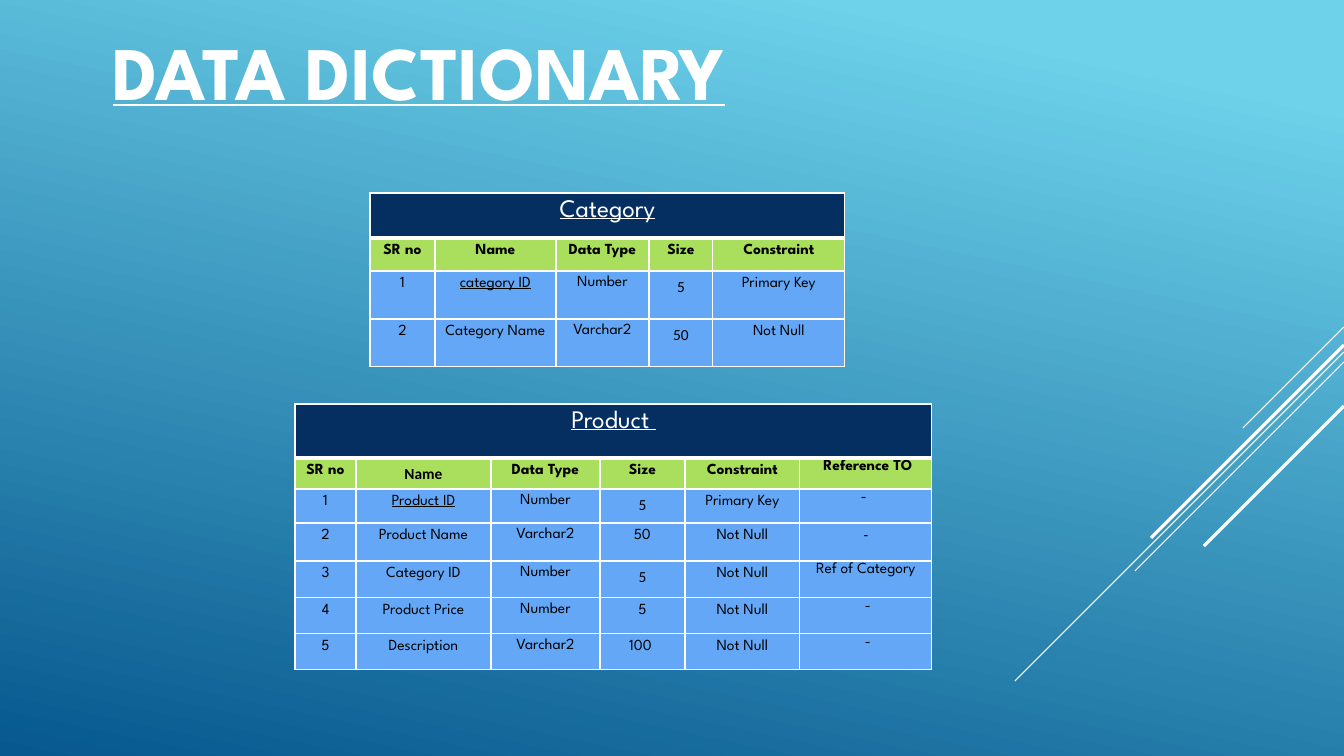
"""Build the data dictionary slide with its Category and Product tables."""
from lxml.etree import SubElement
from pptx import Presentation
from pptx.dml.color import RGBColor
from pptx.enum.shapes import MSO_CONNECTOR
from pptx.enum.text import MSO_ANCHOR, PP_ALIGN
from pptx.oxml.ns import qn
from pptx.util import Emu, Pt

THEME = {
    "sky": "6ED2EB", "deep": "06588E", "white": "FFFFFF", "black": "000000",
    "navy": "052F61", "lime": "AADF5E", "blue": "64A7F7",
    "font": "League Spartan", "plain_font": "Calibri",
    "title": 54, "heading": 18, "body": 11,
}


def px(length):
    return Emu(round(length * 914400 / 100.8))


def write(frame, text, size, color, font=THEME["font"], bold=False,
          underline=False, spacing=None, after=None):
    para = frame.paragraphs[0]
    para.alignment = PP_ALIGN.CENTER
    para.line_spacing = spacing
    para.space_after = after
    span = para.add_run()
    span.text = text
    span.font.name = font
    span.font.size = Pt(size)
    span.font.bold = bold
    span.font.underline = underline
    span.font.color.rgb = RGBColor.from_string(color)


deck = Presentation()
deck.slide_width, deck.slide_height = px(1344), px(756)
page = deck.slides.add_slide(deck.slide_layouts[6])

backdrop = page.background.fill
backdrop.gradient()
backdrop.gradient_angle = 258
for stop, position, color in zip(backdrop.gradient_stops, (0.1, 1), ("sky", "deep")):
    stop.position = position
    stop.color.rgb = RGBColor.from_string(THEME[color])

RIGHT_EDGE = 1344
diagonals = [(327, 101, 0.75), (352, 329, 0.75), (362, 209, 0.75),
             (345, 193, 2.25), (406, 140, 2.25)]
for top, reach, weight in diagonals:
    diagonal = page.shapes.add_connector(
        MSO_CONNECTOR.STRAIGHT, px(RIGHT_EDGE), px(top),
        px(RIGHT_EDGE - reach), px(top + reach))
    diagonal.line.color.rgb = RGBColor.from_string(THEME["white"])
    diagonal.line.width = Pt(weight)
    SubElement(diagonal._element.spPr, qn("a:effectLst"))

title_box = page.shapes.add_textbox(px(-55), px(22), px(948), px(96))
title_box.text_frame.word_wrap = True
title_box.text_frame.vertical_anchor = MSO_ANCHOR.MIDDLE
write(title_box.text_frame, "DATA DICTIONARY", THEME["title"], THEME["white"],
      bold=True, underline=True)

HEADERS = ["SR no", "Name", "Data Type", "Size", "Constraint"]
TYPE_COLUMN, REFERENCE_COLUMN = 2, 5
tables = [
    {
        "left": 370, "top": 193, "heading": "Category",
        "widths": [65, 121, 93, 64, 132], "heights": [45, 33, 48, 48],
        "rows": [
            HEADERS,
            ["1", "category ID", "Number", "5", "Primary Key"],
            ["2", "Category Name", "Varchar2", "50", "Not Null"],
        ],
        "plain": {(2, 3), (3, 3)},
    },
    {
        "left": 295, "top": 404, "heading": "Product ",
        "widths": [61, 135, 109, 85, 115, 132],
        "heights": [54, 31, 34, 38, 37, 36, 36],
        "rows": [
            HEADERS + [" Reference TO"],
            ["1", "Product ID", "Number", "5", "Primary Key", "- "],
            ["2", "Product Name", "Varchar2", "50", "Not Null", "-"],
            ["3", "Category ID", "Number", "5", "Not Null", "Ref of Category"],
            ["4", "Product Price", "Number", "5", "Not Null", " -"],
            ["5", "Description", "Varchar2", "100 ", "Not Null", " -"],
        ],
        "plain": {(1, 1), (2, 3), (3, 5), (4, 3)},
    },
]

for entry in tables:
    widths, heights = entry["widths"], entry["heights"]
    table = page.shapes.add_table(
        len(heights), len(widths), px(entry["left"]), px(entry["top"]),
        px(sum(widths)), px(sum(heights))).table
    table.first_row = table.horz_banding = False
    for column, width in zip(table.columns, widths):
        column.width = px(width)
    for row, height in zip(table.rows, heights):
        row.height = px(height)
    table.cell(0, 0).merge(table.cell(0, len(widths) - 1))

    for r in range(len(heights)):
        for c in range(len(widths)):
            cell = table.cell(r, c)
            properties = cell._tc.get_or_add_tcPr()
            for side in "LRTB":
                weight = 3 if r == 0 and side == "B" else 1
                border = SubElement(properties, qn(f"a:ln{side}"), w=str(Pt(weight)))
                paint = SubElement(border, qn("a:solidFill"))
                SubElement(paint, qn("a:srgbClr"), val=THEME["white"])
            cell.fill.solid()
            fill = {0: "navy", 1: "lime"}.get(r, "blue")
            cell.fill.fore_color.rgb = RGBColor.from_string(THEME[fill])
            if cell.is_spanned:
                continue
            if r == 0:
                write(cell.text_frame, entry["heading"], THEME["heading"],
                      THEME["white"], underline=True, spacing=1.07, after=Pt(8))
                continue
            if c == REFERENCE_COLUMN:
                cell.margin_left = cell.margin_top = cell.margin_right = px(1)
                cell.margin_bottom = 0
            single = r > 1 and c == TYPE_COLUMN
            font = "plain_font" if (r, c) in entry["plain"] else "font"
            write(cell.text_frame, entry["rows"][r - 1][c], THEME["body"],
                  THEME["black"], font=THEME[font], bold=r == 1,
                  underline=(r, c) == (2, 1), spacing=None if single else 1.07,
                  after=None if single else Pt(8))

deck.save("out.pptx")
